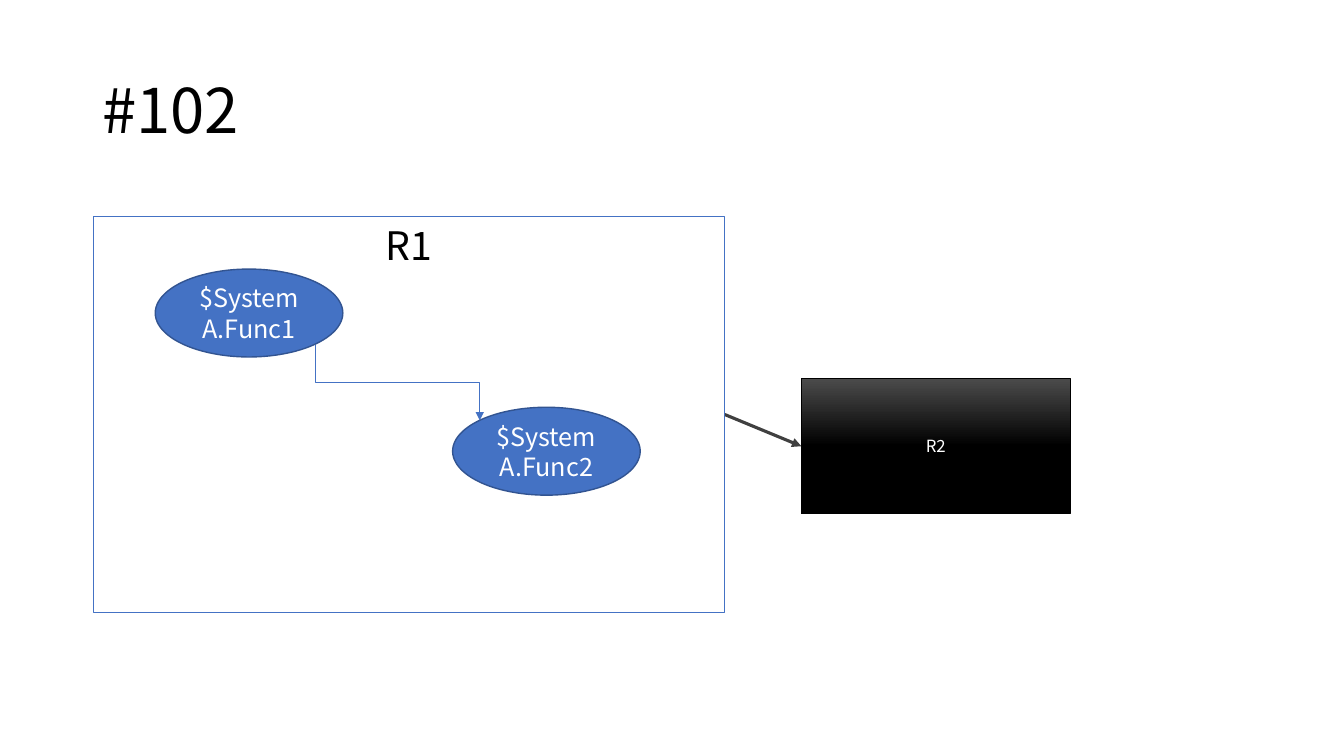
"""Build slide #102: two linked functions inside R1, with an arrow to R2."""
from copy import deepcopy
from pptx import Presentation
from pptx.dml.color import RGBColor as RGB
from pptx.enum.shapes import MSO_CONNECTOR as Conn, MSO_SHAPE as Form
from pptx.enum.text import MSO_ANCHOR as Anchor, PP_ALIGN as Align
from pptx.oxml.ns import qn
from pptx.oxml.xmlchemy import OxmlElement as Node
from pptx.util import Pt

COLOR = {"black": "000000", "white": "FFFFFF", "blue": "4472C4",
         "navy": "325491", "gray": "404040", "smoke": "4B4B4B"}


def write(shape, text, size, color, align=Align.CENTER, anchor=Anchor.MIDDLE):
    frame = shape.text_frame
    frame.word_wrap = True
    frame.vertical_anchor = anchor
    para = frame.paragraphs[0]
    para.text = text
    para.alignment = align
    form = {"name": "Noto Sans CJK KR", "size": Pt(size)}
    for key, value in form.items():
        setattr(para.font, key, value)
    para.font.color.rgb = RGB.from_string(COLOR[color])
    return para


def stroke(shape, color, width):
    shape.line.color.rgb = RGB.from_string(COLOR[color])
    shape.line.width = Pt(width)


deck = Presentation()
deck.slide_width, deck.slide_height = Pt(960), Pt(540)
slide = deck.slides.add_slide(deck.slide_layouts[6])
shapes = slide.shapes

title = shapes.add_textbox(Pt(66), Pt(28.75), Pt(828), Pt(104.4))
write(title, "#102", 44, "black", Align.LEFT).line_spacing = 0.9

right = shapes.add_shape(Form.RECTANGLE, Pt(572.4), Pt(270.5), Pt(192.2), Pt(96.5))
right.shadow.inherit = False
right.fill.gradient()
right.fill.gradient_angle = 270
stops = right._element.spPr.find(qn("a:gradFill")).find(qn("a:gsLst"))
stops.append(deepcopy(stops[-1]))
shades = [(0, "smoke"), (0.5, "black"), (1, "black")]
for stop, (place, color) in zip(right.fill.gradient_stops, shades):
    stop.position = place
    stop.color.rgb = RGB.from_string(COLOR[color])
stroke(right, "black", 0.5)
write(right, "R2", 12, "white")

link = shapes.add_connector(Conn.STRAIGHT, Pt(517.7), Pt(296), Pt(572.4), Pt(318.7))

for name, left, top in [("$SystemA.Func1", 110.9, 192.2),
                        ("$SystemA.Func2", 323.3, 290.9)]:
    func = shapes.add_shape(Form.OVAL, Pt(left), Pt(top), Pt(134), Pt(62.8))
    func.shadow.inherit = False
    func.fill.solid()
    func.fill.fore_color.rgb = RGB.from_string(COLOR["blue"])
    stroke(func, "navy", 1)
    write(func, name, 18, "white")

bend = shapes.add_connector(Conn.ELBOW, Pt(311), Pt(214.6), Pt(257), Pt(332))
bend._element.spPr.find(qn("a:xfrm")).set("rot", "16200000")

main = shapes.add_shape(Form.RECTANGLE, Pt(67), Pt(154.8), Pt(450.7), Pt(282.6))
main.shadow.inherit = False
main.fill.background()
stroke(main, "blue", 1)
write(main, "R1", 28, "black", anchor=Anchor.TOP)

link.begin_connect(main, 3)
link.end_connect(right, 1)
for arrow, color, width in [(link, "gray", 2.25), (bend, "blue", 0.5)]:
    stroke(arrow, color, width)
    head = Node("a:tailEnd")
    head.set("type", "triangle")
    arrow.line._get_or_add_ln().append(head)
    arrow._element.spPr.append(Node("a:effectLst"))

deck.save("out.pptx")
